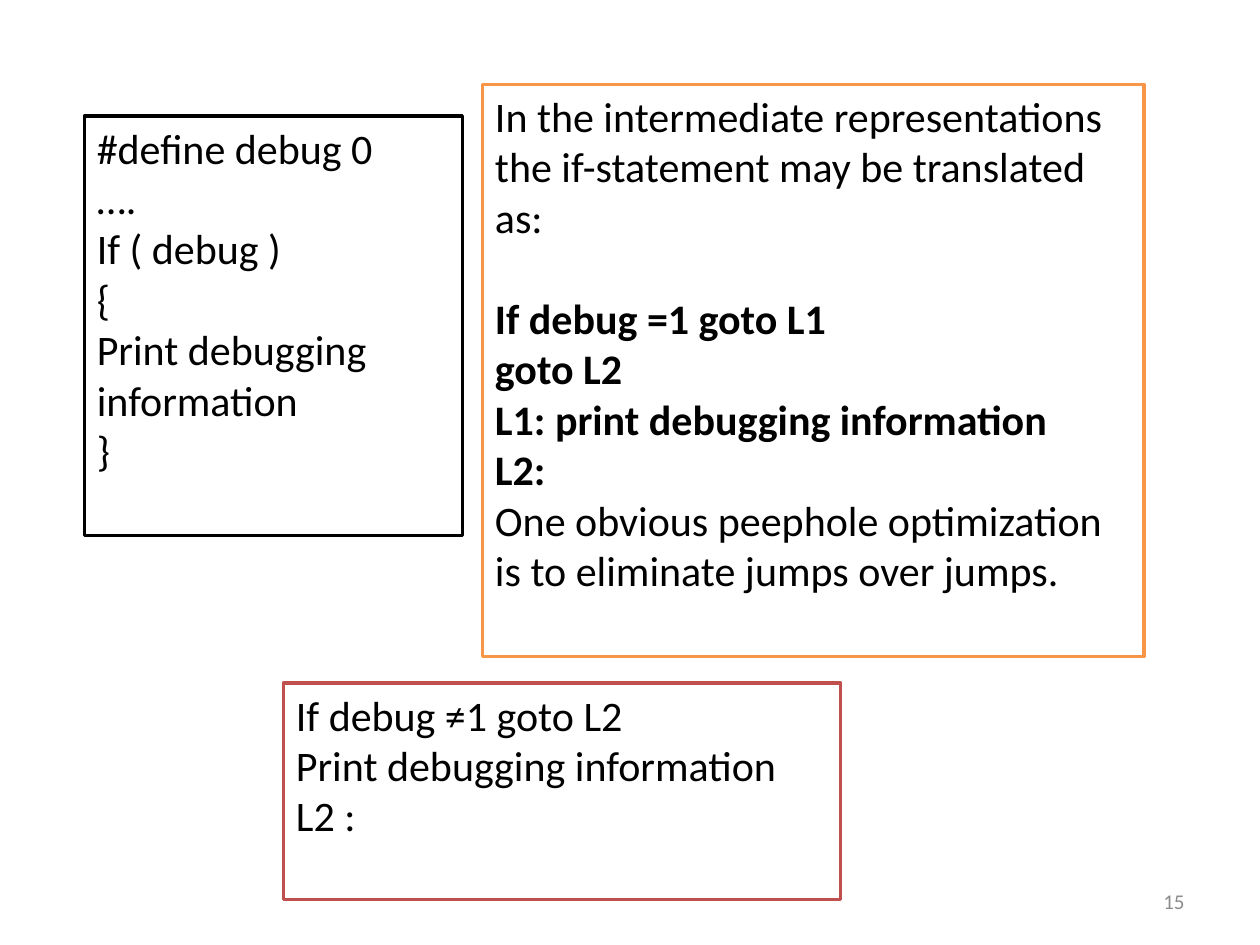
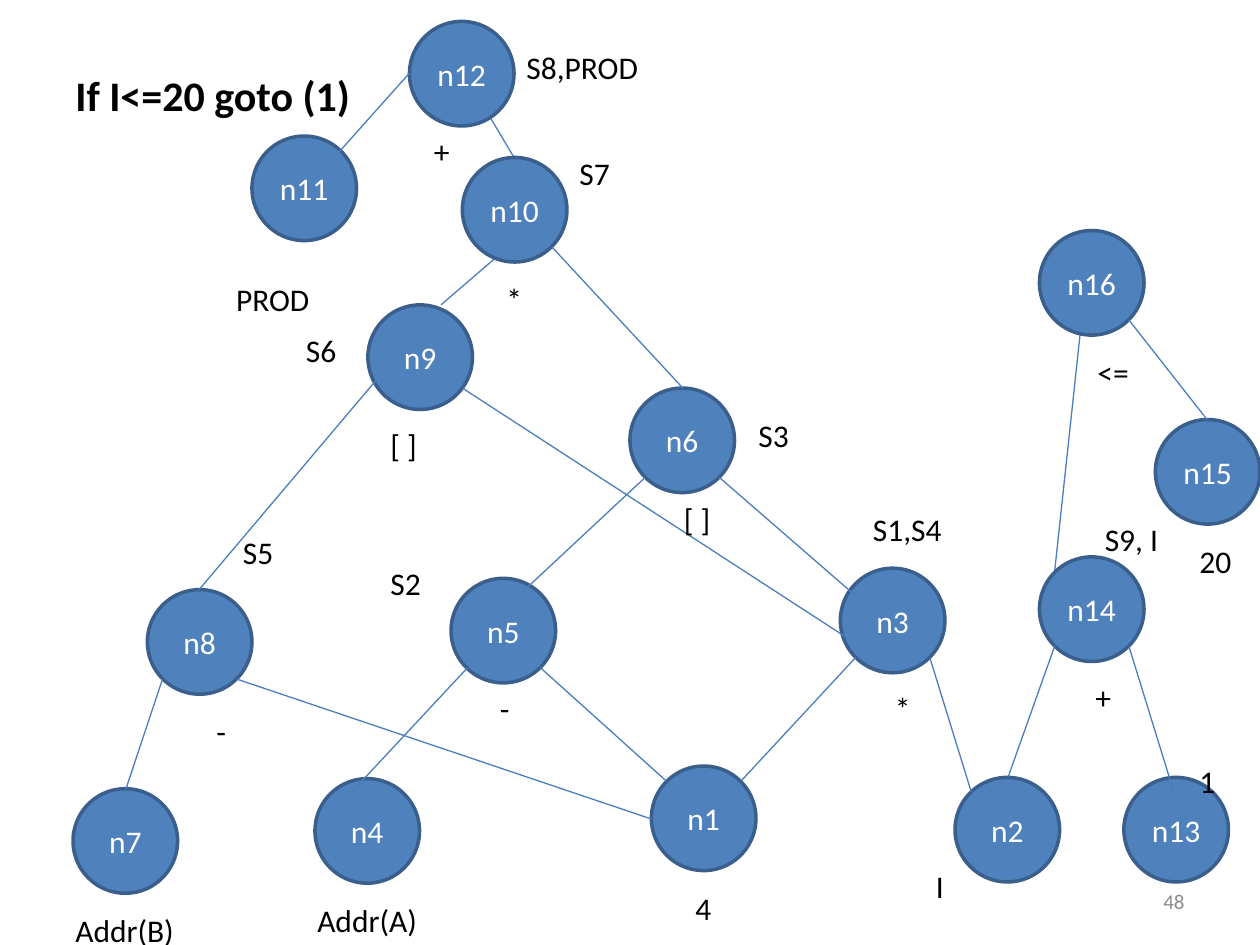
from pptx import Presentation
from pptx.dml.color import RGBColor as RGB
from pptx.enum.shapes import MSO_CONNECTOR as Link, MSO_SHAPE as Form
from pptx.enum.text import MSO_ANCHOR as Anchor, PP_ALIGN as Align
from pptx.oxml import parse_xml
from pptx.oxml.ns import nsdecls
from pptx.util import Inches, Pt

BLACK = RGB(0x00, 0x00, 0x00)
WHITE = RGB(0xFF, 0xFF, 0xFF)
GRAY = RGB(0x8C, 0x8C, 0x8C)
ORANGE = RGB(0xF7, 0x96, 0x46)
RED = RGB(0xC0, 0x50, 0x4D)
BLUE = RGB(0x4F, 0x81, 0xBD)
NAVY = RGB(0x3A, 0x5F, 0x8C)
STEEL = RGB(0x4B, 0x7E, 0xBC)

SIZE = 0.83
NODES = {
    "n5": (3.58, 4.59), "n4": (2.5, 6.18), "n1": (5.17, 6.08),
    "n3": (6.67, 4.51), "n2": (7.58, 6.17), "n6": (5, 3.08),
    "n7": (0.58, 6.26), "n8": (1.17, 4.68), "n9": (2.92, 2.42),
    "n10": (3.67, 1.25), "n12": (3.25, 0.17), "n11": (2, 1.08),
    "n14": (8.25, 4.42), "n13": (8.92, 6.17), "n15": (9.17, 3.33),
    "n16": (8.25, 1.83),
}
UNDER = [
    (3.5, 2.42, 4.08, 1.92), (4.08, 1.25, 3.83, 0.83),
    (8.37, 4.54, 8.58, 2.58),
]
OVER = [
    (3.71, 5.3, 2.75, 6.33), (4.29, 5.3, 5.29, 6.2),
    (6.79, 5.22, 5.88, 6.2), (7.38, 5.22, 7.71, 6.29),
    (4.08, 4.76, 5.12, 3.79), (5.71, 3.79, 7, 4.91),
    (1.88, 5.39, 5.17, 6.5), (1.29, 5.39, 1, 6.26),
    (1.58, 4.68, 3, 3), (6.75, 5.08, 3.67, 3.08),
    (4.38, 1.96, 5.42, 3.08), (3.25, 0.58, 2.5, 1.42),
    (8.37, 5.13, 8, 6.17), (8.96, 5.13, 9.33, 6.33),
    (8.96, 2.54, 9.58, 3.33),
]
SIGNS = [
    ("-", 3.67, 5.42, 0.67), ("*", 6.83, 5.42, 0.67),
    ("-", 1.42, 5.6, 0.67), ("+", 3.17, 1, 0.67),
    ("PROD", 1.75, 2.17, 0.83), ("+", 8.42, 5.33, 0.67),
    ("<=", 8.5, 2.75, 0.67),
]
LABELS = [
    ("S2", 3, 4.43, 0.58), ("S1,S4", 6.83, 4, 1),
    ("Addr(A)", 2.42, 7.1, 1.17), ("4", 5.42, 7.01, 0.58),
    ("I", 7.33, 6.83, 0.58), ("S3", 5.92, 3.25, 0.58),
    ("[ ]", 5.33, 3.92, 0.58), ("S5", 1.83, 4.18, 0.58),
    ("Addr(B)", 0.5, 7.18, 1.17), ("S6", 2.33, 2.58, 0.58),
    ("[ ]", 3, 3.33, 0.58), ("*", 3.92, 2.17, 0.58),
    ("S7", 4.5, 1.17, 0.58), ("S8,PROD", 4.08, 0.33, 1.25),
    ("S9, I", 8.67, 4.08, 1), ("1", 9.42, 6, 0.58),
    ("20", 9.42, 4.25, 0.58),
]


class Deck:
    """Hold the shared style and the current slide."""

    def __init__(self):
        self.show = Presentation()
        self.show.slide_width, self.show.slide_height = Inches(10), Inches(7.5)

    def page(self, num):
        self.slide = self.show.slides.add_slide(self.show.slide_layouts[6])
        self.text(num, (7.17, 6.95, 2.33, 0.4), Align.RIGHT, Anchor.MIDDLE,
                  size=Pt(12), color=GRAY)

    def label(self, shape, lines, align, anchor, color=BLACK, **font):
        frame = shape.text_frame
        frame.word_wrap, frame.vertical_anchor = True, anchor
        for i, line in enumerate(lines):
            para = frame.add_paragraph() if i else frame.paragraphs[0]
            para.alignment = align
            run = para.add_run()
            run.text = line
            run.font.color.rgb = color
            for key, val in {"name": "Calibri", **font}.items():
                setattr(run.font, key, val)
        return frame

    def text(self, words, box, align=Align.LEFT, anchor=Anchor.TOP, **font):
        shape = self.slide.shapes.add_textbox(*map(Inches, box))
        self.label(shape, [words], align, anchor, **font)

    def shape(self, form, box, fill, edge):
        shape = self.slide.shapes.add_shape(form, *map(Inches, box))
        shape.shadow.inherit = False
        shape.fill.solid()
        shape.fill.fore_color.rgb = fill
        shape.line.color.rgb = edge
        shape.line.width = Pt(2)
        return shape

    def panel(self, lines, box, edge):
        shape = self.shape(Form.RECTANGLE, box, WHITE, edge)
        return self.label(shape, lines, Align.LEFT, Anchor.TOP, size=Pt(24))

    def node(self, name, left, top):
        shape = self.shape(Form.OVAL, (left, top, SIZE, SIZE), BLUE, NAVY)
        self.label(shape, [name], Align.CENTER, Anchor.MIDDLE, WHITE, size=Pt(18))

    def link(self, *ends):
        line = self.slide.shapes.add_connector(Link.STRAIGHT, *map(Inches, ends))
        line.line.color.rgb = STEEL
        line.line.width = Pt(0.75)
        line._element.spPr.append(parse_xml(f"<a:effectLst {nsdecls('a')}/>"))


def jumps(deck):
    deck.page("15")
    deck.panel(["#define debug 0", "….", "If ( debug )", "{",
                "Print debugging information", "}"],
               (0.67, 0.92, 3, 3.33), BLACK)
    frame = deck.panel([
        "In the intermediate representations the if-statement may be translated as:",
        "If debug =1 goto L1", "goto L2", "L1: print debugging information", "L2:",
        "One obvious peephole optimization is to eliminate jumps over jumps.",
    ], (3.83, 0.67, 5.25, 4.54), ORANGE)
    code = frame.paragraphs[1:5]
    code[0].space_before = Pt(29)
    for para in code:
        para.runs[0].font.bold = True
    deck.panel(["If debug ≠1 goto L2", "Print debugging information", "L2 :"],
               (2.25, 5.42, 4.42, 1.72), RED)


def graph(deck):
    deck.page("48")
    for ends in UNDER:
        deck.link(*ends)
    for name, spot in NODES.items():
        deck.node(name, *spot)
    for ends in OVER:
        deck.link(*ends)
    deck.text("If I<=20 goto (1)", (0.5, 0.5, 2.67, 0.5), size=Pt(24), bold=True)
    for group, align in ((SIGNS, Align.CENTER), (LABELS, Align.LEFT)):
        for words, left, top, width in group:
            deck.text(words, (left, top, width, 0.4), align, size=Pt(18))


def main():
    deck = Deck()
    jumps(deck)
    graph(deck)
    deck.show.save("out.pptx")


if __name__ == "__main__":
    main()
